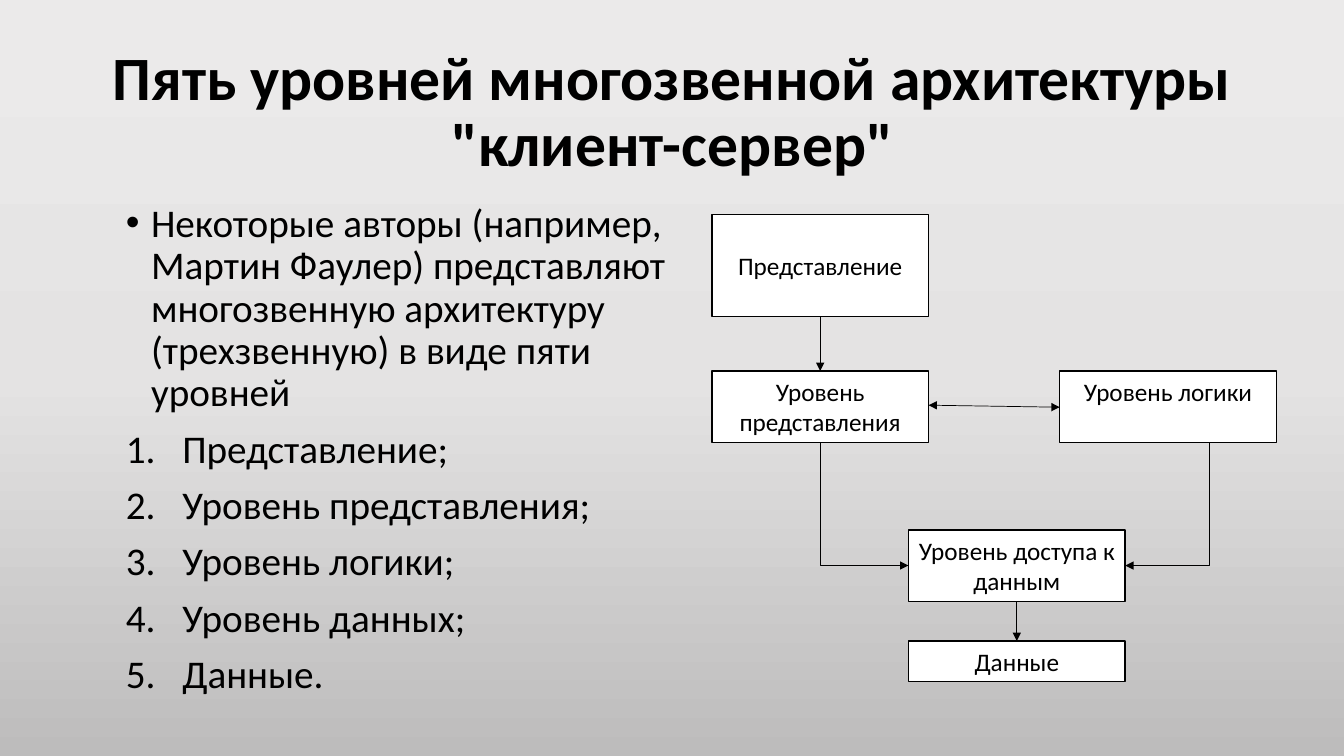
from copy import deepcopy
from dataclasses import dataclass

from pptx import Presentation
from pptx.dml.color import RGBColor
from pptx.enum.shapes import MSO_CONNECTOR as Link, MSO_SHAPE as Shape
from pptx.enum.text import MSO_ANCHOR as Anchor, PP_ALIGN as Align
from pptx.oxml.ns import qn
from pptx.util import Inches, Pt
from lxml.etree import SubElement


@dataclass(frozen=True)
class Theme:
    font: str = "Calibri"
    ink: RGBColor = RGBColor(0, 0, 0)
    paper: RGBColor = RGBColor(255, 255, 255)
    gradient: tuple = ((0.04, "EBEAEA"), (0.5, "E4E3E3"), (1, "BDBCBC"))
    title_size: int = 44
    body_size: int = 28
    box_size: int = 18


theme = Theme()


def write(frame, text, size, bold=False, align=Align.LEFT, anchor=Anchor.TOP,
          spacing=1.0, before=0):
    """Fill a text frame, one paragraph per line of text."""
    frame.word_wrap = True
    frame.vertical_anchor = anchor
    for index, line in enumerate(text.split("\n")):
        para = frame.paragraphs[0] if index == 0 else frame.add_paragraph()
        para.alignment = align
        para.line_spacing = spacing
        para.space_before = Pt(before)
        span = para.add_run()
        span.text = line
        span.font.name = theme.font
        span.font.size = Pt(size)
        span.font.bold = bold
        span.font.color.rgb = theme.ink


def connect(page, start, end, bent=False, both=False):
    """Draw an arrow; a bent one goes down first and then sideways."""
    (x1, y1), (x2, y2) = start, end
    if bent:
        # The box is laid on its side around the same centre, then turned.
        width, height = y2 - y1, abs(x2 - x1)
        mid_x, mid_y = (x1 + x2) / 2, (y1 + y2) / 2
        side = 1 if x2 > x1 else -1
        x1, x2 = mid_x + side * width / 2, mid_x - side * width / 2
        y1, y2 = mid_y - height / 2, mid_y + height / 2
    arrow = page.shapes.add_connector(
        Link.ELBOW if bent else Link.STRAIGHT,
        Inches(x1), Inches(y1), Inches(x2), Inches(y2))
    arrow.line.color.rgb = theme.ink
    arrow.line.width = Pt(0.5)
    properties = arrow.element.spPr
    if bent:
        properties.find(qn("a:xfrm")).set("rot", str((270 if side > 0 else 90) * 60000))
        properties.find(qn("a:prstGeom")).set("prst", "bentConnector2")
    for tip in ("a:headEnd", "a:tailEnd") if both else ("a:tailEnd",):
        SubElement(properties.find(qn("a:ln")), qn(tip), type="triangle")
    SubElement(properties, qn("a:effectLst"))


deck = Presentation()
deck.slide_width, deck.slide_height = Inches(13.33), Inches(7.5)
page = deck.slides.add_slide(deck.slide_layouts[6])

# Background
backdrop = page.background.fill
backdrop.gradient()
backdrop.gradient_angle = 270
stop_list = page.element.find(".//" + qn("a:gsLst"))
stop_list.append(deepcopy(stop_list[-1]))
for stop, (position, color) in zip(backdrop.gradient_stops, theme.gradient):
    stop.position = position
    stop.color.rgb = RGBColor.from_string(color)

# Title
title = page.shapes.add_textbox(Inches(0.92), Inches(0.4), Inches(11.5), Inches(1.45))
write(title.text_frame, 'Пять уровней многозвенной архитектуры "клиент-сервер"',
      theme.title_size, bold=True, align=Align.CENTER, anchor=Anchor.MIDDLE, spacing=0.9)

# Introduction and numbered levels
body = page.shapes.add_textbox(Inches(1.15), Inches(1.97), Inches(5.55), Inches(4.99))
write(body.text_frame,
      "Некоторые авторы (например, Мартин Фаулер) представляют "
      "многозвенную архитектуру (трехзвенную) в виде пяти уровней\n"
      "Представление;\nУровень представления;\nУровень логики;\n"
      "Уровень данных;\nДанные.",
      theme.body_size, spacing=0.9, before=10)
for index, para in enumerate(body.text_frame.paragraphs):
    layout = para._p.get_or_add_pPr()
    indent = Inches(0.56 if index else 0.25)
    layout.set("marL", str(indent))
    layout.set("indent", str(-indent))
    if index:
        SubElement(layout, qn("a:buFont"), typeface="+mj-lt")
        SubElement(layout, qn("a:buAutoNum"), type="arabicPeriod")
    else:
        SubElement(layout, qn("a:buFont"), typeface="Arial")
        SubElement(layout, qn("a:buChar"), char="•")

# Diagram
box_width = 2.15
left, middle, right = 7.06, 9.01, 10.51
levels = [
    ("Представление", left, 2.13, 1.01, Anchor.MIDDLE),
    ("Уровень представления", left, 3.68, 0.71, Anchor.TOP),
    ("Уровень доступа к данным", middle, 5.26, 0.71, Anchor.TOP),
    ("Данные", middle, 6.36, 0.4, Anchor.TOP),
    ("Уровень логики", right, 3.68, 0.71, Anchor.TOP),
]
for name, x, y, height, anchor in levels:
    box = page.shapes.add_shape(Shape.RECTANGLE, Inches(x), Inches(y),
                                Inches(box_width), Inches(height))
    box.shadow.inherit = False
    box.fill.solid()
    box.fill.fore_color.rgb = theme.paper
    box.line.color.rgb = theme.ink
    box.line.width = Pt(1)
    write(box.text_frame, name, theme.box_size, align=Align.CENTER, anchor=anchor)

left_axis, middle_axis = left + box_width / 2, middle + box_width / 2
connect(page, (left_axis, 3.14), (left_axis, 3.68))
connect(page, (left + box_width, 4.02), (right, 4.04), both=True)
connect(page, (left_axis, 4.39), (middle, 5.61), bent=True)
connect(page, (11.99, 4.39), (middle + box_width, 5.61), bent=True)
connect(page, (middle_axis, 5.97), (middle_axis, 6.36))

deck.save("out.pptx")
